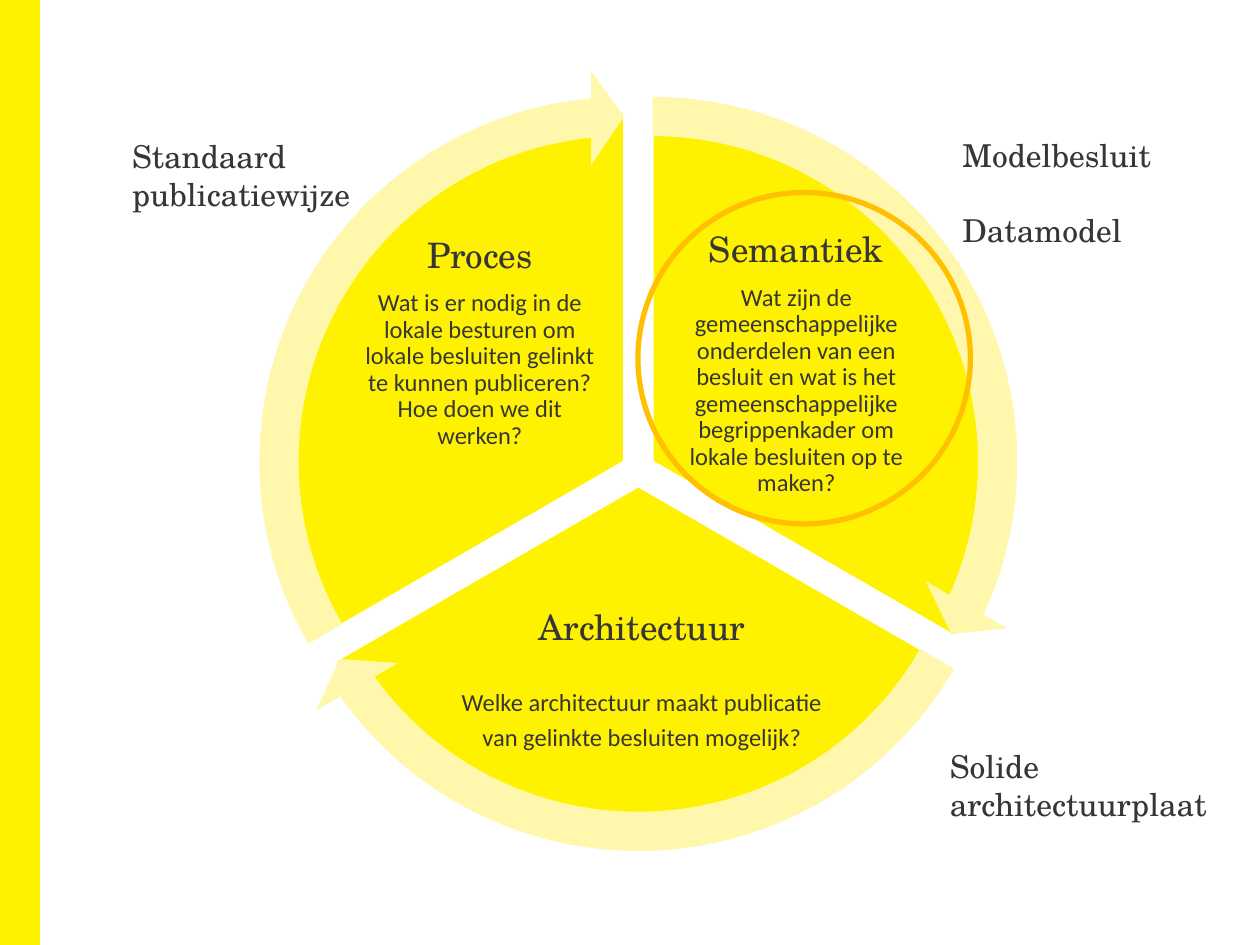
import pptx
import pptx.util
import pptx.dml.color
import pptx.enum.shapes
import pptx.enum.text

Pt = pptx.util.Pt
Shapes = pptx.enum.shapes.MSO_SHAPE


class Theme:
    yellow = pptx.dml.color.RGBColor.from_string("FFF200")
    pale = pptx.dml.color.RGBColor.from_string("FFF7AB")
    orange = pptx.dml.color.RGBColor.from_string("FFC000")
    white = pptx.dml.color.RGBColor.from_string("FFFFFF")
    ink = pptx.dml.color.RGBColor.from_string("373636")
    heading_font, body_font = "TeX Gyre Schola", "Calibri"
    heading_size, label_size, body_size = Pt(20), Pt(18), Pt(14)


presentation = pptx.Presentation()
presentation.slide_width, presentation.slide_height = Pt(720), Pt(540)
slide = presentation.slides.add_slide(presentation.slide_layouts[6])


def add_figure(kind, box, fill=None, line=None, weight=1, adjustments=()):
    shape = slide.shapes.add_shape(kind, *map(Pt, box))
    shape.shadow.inherit = False
    if fill is None:
        shape.fill.background()
    else:
        shape.fill.solid()
        shape.fill.fore_color.rgb = fill
    if line is None:
        shape.line.fill.background()
    else:
        shape.line.color.rgb = line
        shape.line.width = Pt(weight)
    for index, value in enumerate(adjustments):
        shape.adjustments[index] = value


def add_text(box, lines, font_styles):
    frame = slide.shapes.add_textbox(*map(Pt, box)).text_frame
    frame.word_wrap = True
    frame.text = "\n".join(lines)
    for paragraph, (name, size) in zip(frame.paragraphs, font_styles):
        paragraph.font.name = name
        paragraph.font.size = size
        paragraph.font.color.rgb = Theme.ink
    return frame


# Side bar
add_figure(Shapes.RECTANGLE, (0, 0, 22.5, 540), Theme.yellow, Theme.yellow)

# Sectors: left, top, pie angles, arrow angles (angles in units of 5/3 degree)
sectors = [
    (173.5, 64.2, (162, 18), (14.73, 161.99)),
    (165.3, 78.5, (18, 90), (86.72, 18)),
    (157.1, 64.2, (90, 162), (158.73, 90)),
]
pie_size, arrow_margin = 399, 24.5
for left, top, angles, _ in sectors:
    add_figure(Shapes.PIE, (left, top, pie_size, pie_size),
               Theme.yellow, Theme.white, adjustments=angles)

# Sector texts: box, heading, body, heading gap, body line spacing, bottom inset
sector_texts = [
    ((383.8, 149, 142.5, 118.8), "Semantiek",
     "Wat zijn de gemeenschappelijke onderdelen van een besluit en wat is het "
     "gemeenschappelijke begrippenkader om lokale besluiten op te maken?",
     8.4, 0.9, 2),
    ((259.9, 337, 213.8, 104.4), "Architectuur",
     "Welke architectuur maakt publicatie van gelinkte besluiten mogelijk?",
     19, Pt(20), 2),
    ((203, 149, 142.5, 118.8), "Proces",
     "Wat is er nodig in de lokale besturen om lokale besluiten gelinkt te "
     "kunnen publiceren? Hoe doen we dit werken?",
     8.4, 0.9, 26),
]
for box, heading, body, gap, spacing, bottom in sector_texts:
    frame = add_text(box, [heading, body],
                     [(Theme.heading_font, Theme.heading_size),
                      (Theme.body_font, Theme.body_size)])
    frame.vertical_anchor = pptx.enum.text.MSO_ANCHOR.MIDDLE
    frame.margin_left = frame.margin_right = frame.margin_top = Pt(2)
    frame.margin_bottom = Pt(bottom)
    for paragraph, line_spacing in zip(frame.paragraphs, (0.9, spacing)):
        paragraph.alignment = pptx.enum.text.PP_ALIGN.CENTER
        paragraph.line_spacing = line_spacing
    frame.paragraphs[0].space_after = Pt(gap)

# Arrows around the sectors
arrow_size = pie_size + 2 * arrow_margin
for left, top, _, (end, start) in sectors:
    add_figure(Shapes.CIRCULAR_ARROW,
               (left - arrow_margin, top - arrow_margin, arrow_size, arrow_size),
               Theme.pale, adjustments=(0.05, 3.28, end, start, 0.06))

# Outer labels
labels = [
    ((542.9, 74.2, 147.6, 72.7), ["Modelbesluit", "Datamodel"]),
    ((535.7, 423.4, 161.3, 51.1), ["Solide architectuurplaat"]),
    ((68.4, 75, 147.6, 51.1), ["Standaard publicatiewijze"]),
]
for box, lines in labels:
    frame = add_text(box, lines, [(Theme.heading_font, Theme.label_size)] * len(lines))
    for paragraph in frame.paragraphs[1:]:
        paragraph.space_before = Pt(21.5)

# Highlight ring around the semantics text
add_figure(Shapes.OVAL, (364.5, 110, 190, 189.4), line=Theme.orange, weight=3)

presentation.save("out.pptx")
